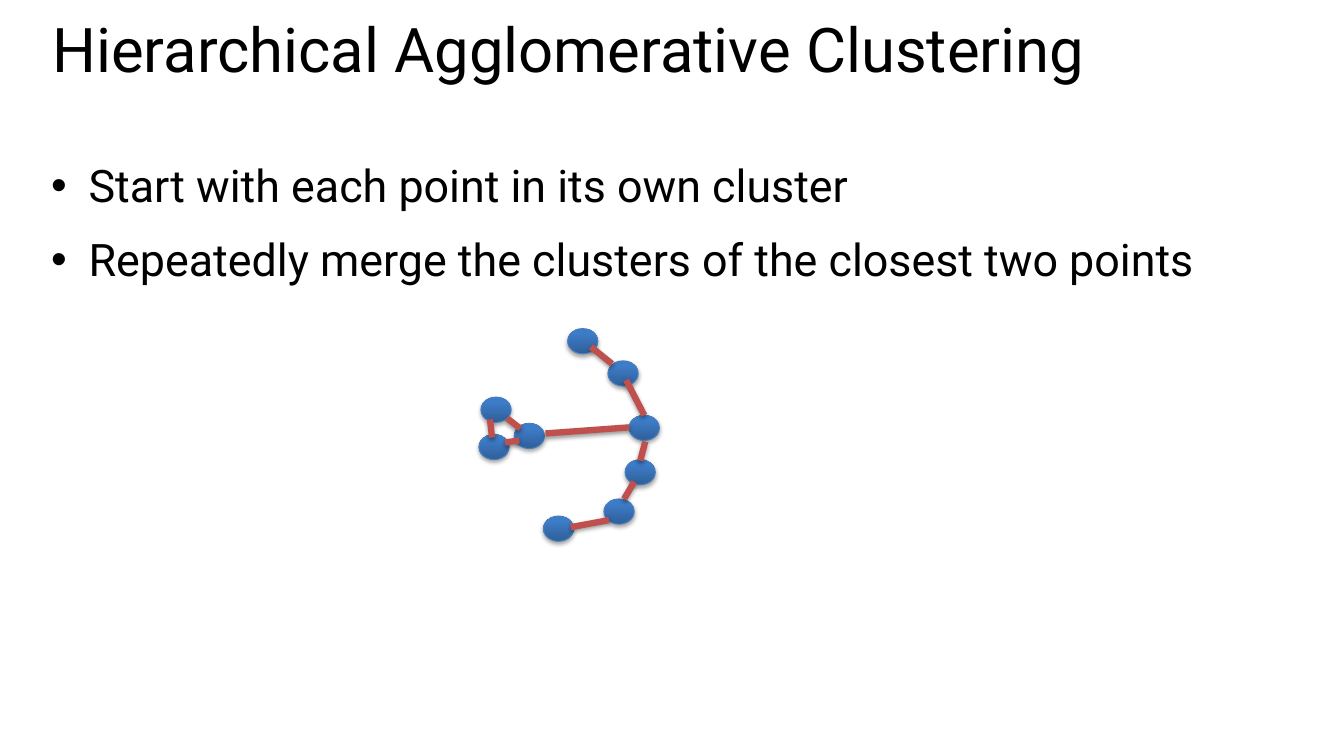
from copy import deepcopy

from lxml.etree import SubElement
from pptx import Presentation
from pptx.dml.color import RGBColor
from pptx.enum.shapes import MSO_CONNECTOR as Connector, MSO_SHAPE as Shape
from pptx.enum.text import MSO_ANCHOR as Anchor, PP_ALIGN as Align
from pptx.oxml.ns import qn
from pptx.util import Inches, Pt

TITLE = "Hierarchical Agglomerative Clustering"
BULLETS = [
    "Start with each point in its own cluster",
    "Repeatedly merge the clusters of the closest two points",
]
POINTS = [
    (6.03, 3.58), (6.24, 4.12), (6.2, 4.56), (5.99, 4.95), (5.39, 5.12),
    (4.77, 3.94), (4.75, 4.31), (5.1, 4.2), (5.63, 3.26),
]
MERGES = [
    ((6.19, 4.95), (6.29, 4.78)),
    ((5.01, 4.39), (5.15, 4.37)),
    ((4.88, 4.34), (4.86, 4.16)),
    ((5.16, 4.25), (5.03, 4.15)),
    ((6.35, 4.57), (6.4, 4.38)),
    ((6.07, 3.61), (5.86, 3.44)),
    ((6.04, 5.16), (5.66, 5.23)),
    ((6.39, 4.12), (6.21, 3.77)),
    ((6.24, 4.24), (5.41, 4.3)),
]
POINT_SIZE = (0.3, 0.25)
POINT_GRADIENT = [(0, "dark"), (0.8, "middle"), (1, "light")]
COLORS = {
    "text": "000000", "dark": "2F5F99", "middle": "3D7CC7",
    "light": "3A7CCB", "outline": "4B7EBC", "merge": "C0504D",
}
FONT = "Roboto"


def color(name):
    return RGBColor.from_string(COLORS[name])


def inches(*lengths):
    return [Inches(length) for length in lengths]


def format_text(para, size):
    for span in para.runs:
        span.font.name = FONT
        span.font.size = Pt(size)
        span.font.color.rgb = color("text")


def add_shadow(properties, distance, opacity):
    for effects in properties.findall(qn("a:effectLst")):
        properties.remove(effects)
    effects = SubElement(properties, qn("a:effectLst"))
    shadow = SubElement(
        effects, qn("a:outerShdw"), blurRad=str(Pt(3.1)), dist=str(Pt(distance)),
        dir="5400000", rotWithShape="0")
    shade = SubElement(shadow, qn("a:srgbClr"), val=COLORS["text"])
    SubElement(shade, qn("a:alpha"), val=str(opacity * 1000))


def add_bullet(para):
    properties = para._p.get_or_add_pPr()
    properties.set("marL", str(Inches(0.37)))
    properties.set("indent", str(-Inches(0.37)))
    SubElement(properties, qn("a:buFont"), typeface="Arial")
    SubElement(properties, qn("a:buChar"), char="•")


def add_point(group, left, top):
    point = group.shapes.add_shape(Shape.OVAL, *inches(left, top, *POINT_SIZE))
    point.line.color.rgb = color("outline")
    point.line.width = Pt(0.75)
    point.fill.gradient()
    point.fill.gradient_angle = 90
    properties = point._element.spPr
    stops = properties.find(".//" + qn("a:gsLst"))
    stops.append(deepcopy(stops[-1]))
    for stop, (position, name) in zip(point.fill.gradient_stops, POINT_GRADIENT):
        stop.position = position
        stop.color.rgb = color(name)
    add_shadow(properties, 1.8, 35)


def add_merge(slide, start, end):
    merge = slide.shapes.add_connector(Connector.STRAIGHT, *inches(*start, *end))
    merge.line.color.rgb = color("merge")
    merge.line.width = Pt(4.5)
    add_shadow(merge._element.spPr, 1.6, 38)


deck = Presentation()
deck.slide_width, deck.slide_height = inches(13.33, 7.5)
slide = deck.slides.add_slide(deck.slide_layouts[5])

title = slide.shapes.title
title.left, title.top, title.width, title.height = inches(0.42, 0.2, 12.6, 1.16)
title.text_frame.text = TITLE
title.text_frame.vertical_anchor = Anchor.TOP
heading = title.text_frame.paragraphs[0]
heading.alignment = Align.LEFT
heading.line_spacing = 0.8
format_text(heading, 44)

group = slide.shapes.add_group_shape()
for place in POINTS:
    add_point(group, *place)

body = slide.shapes.add_textbox(*inches(0.41, 1.52, 12.6, 5.79))
body.text_frame.word_wrap = True
body.text_frame.text = "\n".join(BULLETS)
for para in body.text_frame.paragraphs:
    para.space_before = Pt(14)
    add_bullet(para)
    format_text(para, 32)

for ends in MERGES:
    add_merge(slide, *ends)

deck.save("out.pptx")
